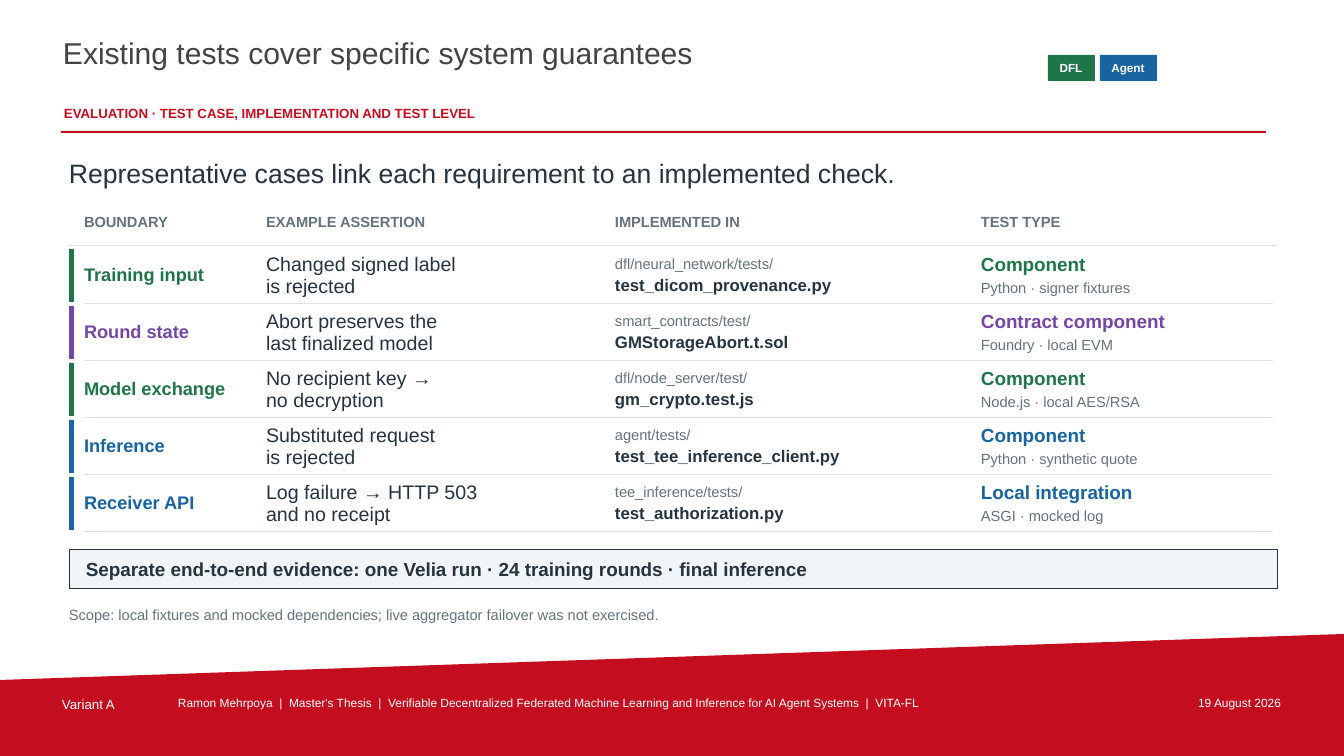
from dataclasses import dataclass

from lxml import etree
from pptx import Presentation, util as u
from pptx.dml.color import RGBColor
from pptx.enum import shapes, text
from pptx.oxml.ns import qn

EMU_PER_PX = u.Inches(1) / 100.8
FONT = "Arial"

RED = RGBColor(0xC4, 0x0D, 0x1E)
GREEN = RGBColor(0x20, 0x75, 0x48)
BLUE = RGBColor(0x17, 0x64, 0xA1)
PURPLE = RGBColor(0x74, 0x46, 0xA6)
INK = RGBColor(0x26, 0x34, 0x40)
GREY = RGBColor(0x65, 0x73, 0x7D)
CHARCOAL = RGBColor(0x43, 0x43, 0x43)
RULE_GREY = RGBColor(0xDC, 0xE3, 0xE8)
PANEL = RGBColor(0xF2, 0xF5, 0xF7)
WHITE = RGBColor(0xFF, 0xFF, 0xFF)

LEFT, WIDTH = 69, 1208
TABLE_LEFT, TABLE_TOP = 84, 198
HEADER_HEIGHT, ROW_HEIGHT = 49, 57
BODY_TOP = TABLE_TOP + HEADER_HEIGHT
COLUMNS = {"BOUNDARY": 182, "EXAMPLE ASSERTION": 349, "IMPLEMENTED IN": 366, "TEST TYPE": 292}


@dataclass(frozen=True)
class Box:
    left: int
    top: int
    width: int
    height: int

    def emu(self) -> tuple[int, ...]:
        return tuple(px(v) for v in (self.left, self.top, self.width, self.height))


@dataclass(frozen=True)
class Line:
    words: str
    size: float
    color: RGBColor
    bold: bool = False
    align: text.PP_ALIGN = text.PP_ALIGN.LEFT


@dataclass(frozen=True)
class Label:
    box: Box
    line: Line
    margin: int = 0
    anchor: text.MSO_ANCHOR = text.MSO_ANCHOR.MIDDLE


@dataclass(frozen=True)
class TestCase:
    color: RGBColor
    boundary: str
    assertion: str
    folder: str
    file: str
    level: str
    setup: str

    def cells(self) -> list[list[Line]]:
        return [
            [Line(self.boundary, 13, self.color, True)],
            [Line(self.assertion, 14, INK)],
            [Line(self.folder, 10.5, GREY), Line(self.file, 12, INK, True)],
            [Line(self.level, 13.5, self.color, True), Line(self.setup, 10.5, GREY)],
        ]


TOP = text.MSO_ANCHOR.TOP
CENTER = text.PP_ALIGN.CENTER

TITLE = Label(Box(61, 32, 973, 62),
              Line("Existing tests cover specific system guarantees", 21.5, CHARCOAL), 2, TOP)
LABELS = [
    Label(Box(62, 103, 978, 22),
          Line("EVALUATION · TEST CASE, IMPLEMENTATION AND TEST LEVEL", 9.5, RED, True), 2, TOP),
    Label(Box(LEFT, 153, WIDTH, 39),
          Line("Representative cases link each requirement to an implemented check.", 19, INK)),
    Label(Box(LEFT, 602, WIDTH, 26),
          Line("Scope: local fixtures and mocked dependencies; "
               "live aggregator failover was not exercised.", 10.5, GREY)),
    Label(Box(60, 694, 111, 22), Line("Variant A", 9.5, WHITE), 2, TOP),
    Label(Box(176, 694, 942, 22),
          Line("Ramon Mehrpoya  |  Master's Thesis  |  Verifiable Decentralized Federated Machine "
               "Learning and Inference for AI Agent Systems  |  VITA-FL", 8.5, WHITE), 2, TOP),
    Label(Box(1129, 694, 154, 22),
          Line("19 August 2026", 8.5, WHITE, align=text.PP_ALIGN.RIGHT), 2, TOP),
]
CHIPS = [
    (Label(Box(1048, 55, 46, 25), Line("DFL", 8.4, WHITE, True, CENTER)), GREEN),
    (Label(Box(1100, 55, 56, 25), Line("Agent", 8.4, WHITE, True, CENTER)), BLUE),
]
EVIDENCE = Label(Box(LEFT, 549, WIDTH, 39),
                 Line("Separate end-to-end evidence: one Velia run · 24 training rounds · "
                      "final inference", 13.5, INK, True), 17)
TEST_CASES = [
    TestCase(GREEN, "Training input", "Changed signed label\nis rejected",
             "dfl/neural_network/tests/", "test_dicom_provenance.py",
             "Component", "Python · signer fixtures"),
    TestCase(PURPLE, "Round state", "Abort preserves the\nlast finalized model",
             "smart_contracts/test/", "GMStorageAbort.t.sol",
             "Contract component", "Foundry · local EVM"),
    TestCase(GREEN, "Model exchange", "No recipient key →\nno decryption",
             "dfl/node_server/test/", "gm_crypto.test.js",
             "Component", "Node.js · local AES/RSA"),
    TestCase(BLUE, "Inference", "Substituted request\nis rejected",
             "agent/tests/", "test_tee_inference_client.py",
             "Component", "Python · synthetic quote"),
    TestCase(BLUE, "Receiver API", "Log failure → HTTP 503\nand no receipt",
             "tee_inference/tests/", "test_authorization.py",
             "Local integration", "ASGI · mocked log"),
]


def px(value: int) -> int:
    return round(value * EMU_PER_PX)


def write_lines(frame, lines: list[Line]) -> None:
    for i, line in enumerate(lines):
        paragraph = frame.add_paragraph() if i else frame.paragraphs[0]
        paragraph.text = line.words
        paragraph.alignment = line.align
        if i:
            paragraph.space_before = u.Pt(3)
        font = paragraph.font
        font.name, font.size, font.bold = FONT, u.Pt(line.size), line.bold
        font.color.rgb = line.color


def fill_frame(frame, label: Label) -> None:
    frame.word_wrap = True
    frame.auto_size = text.MSO_AUTO_SIZE.NONE
    frame.vertical_anchor = label.anchor
    frame.margin_left = frame.margin_right = px(label.margin)
    frame.margin_top = frame.margin_bottom = px(min(label.margin, 2))
    write_lines(frame, [label.line])


def add_label(slide, label: Label) -> None:
    fill_frame(slide.shapes.add_textbox(*label.box.emu()).text_frame, label)


def paint(shape, fill: RGBColor, outline: RGBColor | None = None) -> None:
    shape.shadow.inherit = False
    shape.fill.solid()
    shape.fill.fore_color.rgb = fill
    if outline is None:
        shape.line.fill.background()
    else:
        shape.line.color.rgb = outline
        shape.line.width = u.Pt(0.5)


def add_rect(slide, box: Box, fill: RGBColor, outline: RGBColor | None = None):
    rect = slide.shapes.add_shape(shapes.MSO_SHAPE.RECTANGLE, *box.emu())
    paint(rect, fill, outline)
    return rect


def add_footer_band(slide) -> None:
    builder = slide.shapes.build_freeform(0, 680, scale=EMU_PER_PX)
    builder.add_line_segments([(1344, 634), (1344, 756), (0, 756)])
    paint(builder.convert_to_shape(), RED)


def set_borders(cell, ruled_sides: str) -> None:
    """Rule the given sides (of L, R, T, B) and clear the others."""
    properties = cell._tc.get_or_add_tcPr()
    for side in "LRTB":
        border = etree.SubElement(properties, qn(f"a:ln{side}"), w=str(u.Pt(0.75)))
        if side in ruled_sides:
            solid = etree.SubElement(border, qn("a:solidFill"))
            etree.SubElement(solid, qn("a:srgbClr"), val=str(RULE_GREY))
        else:
            etree.SubElement(border, qn("a:noFill"))


def add_test_table(slide) -> None:
    rows = [[[Line(heading, 10.5, GREY, True)] for heading in COLUMNS]]
    rows += [case.cells() for case in TEST_CASES]
    area = Box(TABLE_LEFT, TABLE_TOP, sum(COLUMNS.values()),
               HEADER_HEIGHT + ROW_HEIGHT * len(TEST_CASES))
    table = slide.shapes.add_table(len(rows), len(COLUMNS), *area.emu()).table
    table.horz_banding = False
    for column, width in zip(table.columns, COLUMNS.values()):
        column.width = px(width)
    for r, row in enumerate(rows):
        table.rows[r].height = px(ROW_HEIGHT if r else HEADER_HEIGHT)
        for c, lines in enumerate(row):
            cell = table.cell(r, c)
            set_borders(cell, ("", "B")[r] if r < 2 else "TB")
            cell.fill.background()
            cell.margin_left = cell.margin_right = 0
            cell.margin_top = cell.margin_bottom = 0
            cell.vertical_anchor = text.MSO_ANCHOR.MIDDLE
            write_lines(cell.text_frame, lines)


def main() -> None:
    deck = Presentation()
    deck.slide_width, deck.slide_height = px(1344), px(756)
    slide = deck.slides.add_slide(deck.slide_layouts[5])

    title = slide.shapes.title
    title.left, title.top, title.width, title.height = TITLE.box.emu()
    fill_frame(title.text_frame, TITLE)

    add_footer_band(slide)
    add_rect(slide, Box(61, 131, 1205, 2), RED)
    for label in LABELS:
        add_label(slide, label)
    for chip, color in CHIPS:
        fill_frame(add_rect(slide, chip.box, color, color).text_frame, chip)

    add_test_table(slide)
    add_rect(slide, Box(LEFT, 245, WIDTH, 1), RULE_GREY)
    for i, case in enumerate(TEST_CASES):
        accent = Box(LEFT, BODY_TOP + 2 + i * ROW_HEIGHT, 4, 52)
        add_rect(slide, accent, case.color, case.color)
    fill_frame(add_rect(slide, EVIDENCE.box, PANEL, INK).text_frame, EVIDENCE)

    deck.save("out.pptx")


if __name__ == "__main__":
    main()
